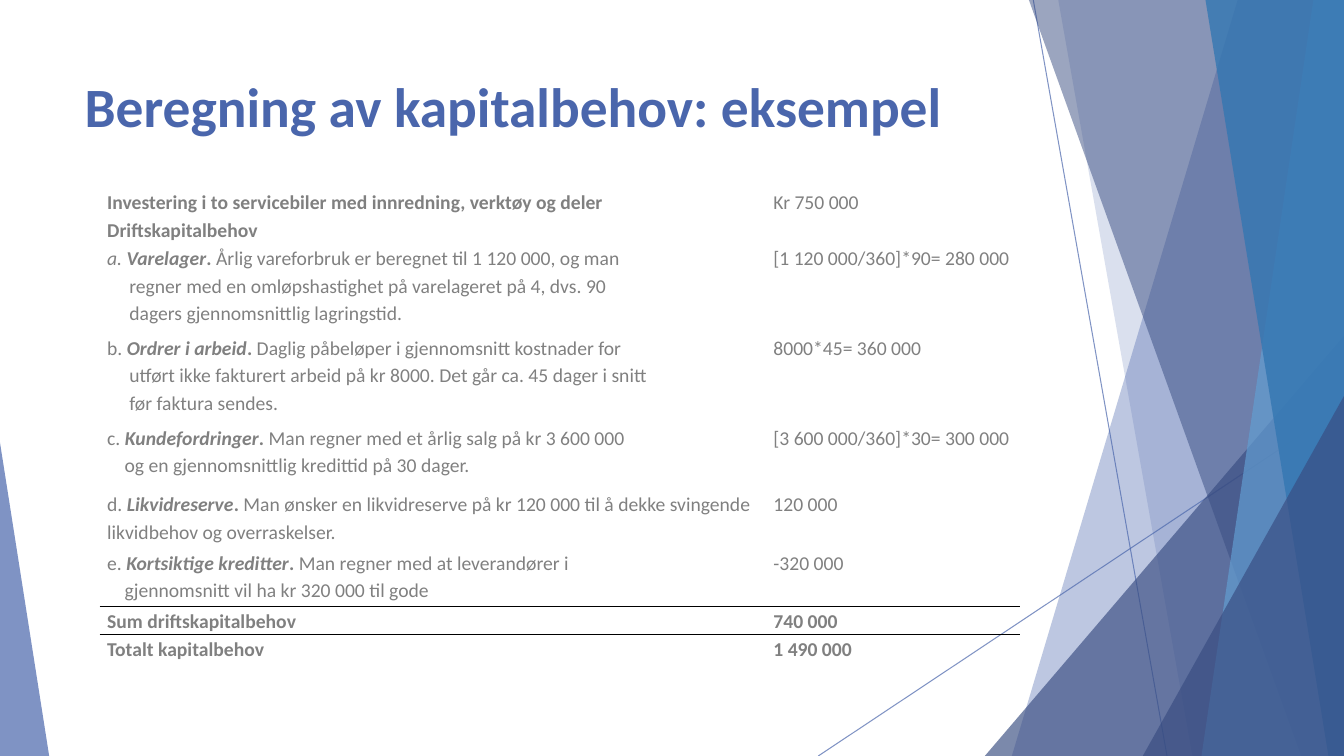
from lxml import etree
from pptx import Presentation
from pptx.dml.color import RGBColor
from pptx.enum.shapes import MSO_CONNECTOR, MSO_SHAPE
from pptx.enum.text import MSO_ANCHOR, PP_ALIGN
from pptx.oxml.ns import qn
from pptx.util import Cm, Pt

LINE = MSO_CONNECTOR.STRAIGHT
TRI = MSO_SHAPE.ISOSCELES_TRIANGLE
TOP = MSO_ANCHOR.TOP
LEFT = PP_ALIGN.LEFT

WIDE, HIGH = 33.87, 19.05
FONT = "Calibri"
PLAIN = "{2D5ABB26-0587-4C30-8999-92F81FD0307C}"
HUES = {
    "blue": "4A66AC",
    "navy": "384C81",
    "sky": "629DD1",
    "sea": "3477B2",
    "grey": "808080",
    "black": "000000",
}


def item(mark, name, first, rest=(), slant=""):
    head = [(mark, slant), (name, "bi"), (".", "b"), (first, "")]
    return [head] + [[(line, "")] for line in rest]


def bold(text):
    return [[(text, "b")]]


def flat(text):
    return [[(text, "")]]


ROWS = [
    (0.71, 0, bold("Investering i to servicebiler med innredning, verktøy og deler"),
     flat("Kr 750 000")),
    (0.71, 0, bold("Driftskapitalbehov"), []),
    (2.26, 0.56, item("a. ", "Varelager", " Årlig vareforbruk er beregnet til 1 120 000, og man",
                      ["regner med en omløpshastighet på varelageret på 4, dvs. 90",
                       "dagers gjennomsnittlig lagringstid."], "i"),
     flat("[1 120 000/360]*90= 280 000")),
    (2.26, 0.56, item("b. ", "Ordrer i arbeid", " Daglig påbeløper i gjennomsnitt kostnader for",
                      ["utført ikke fakturert arbeid på kr 8000. Det går ca. 45 dager i snitt",
                       "før faktura sendes."]),
     flat("8000*45= 360 000")),
    (1.68, 0.44, item("c. ", "Kundefordringer", " Man regner med et årlig salg på kr 3 600 000",
                      ["og en gjennomsnittlig kredittid på 30 dager."]),
     flat("[3 600 000/360]*30= 300 000")),
    (1.47, 0, item("d. ", "Likvidreserve", " Man ønsker en likvidreserve på kr 120 000 til å dekke "
                   "svingende likvidbehov og overraskelser."),
     flat("120 000")),
    (1.47, 0.44, item("e. ", "Kortsiktige kreditter", " Man regner med at leverandører i",
                      ["gjennomsnitt vil ha kr 320 000 til gode"]),
     flat("-320 000")),
    (0.71, 0, bold("Sum driftskapitalbehov"), bold("740 000")),
    (0.71, 0, bold("Totalt kapitalbehov"), bold("1 490 000")),
]
RULED = {6: ["lnB"], 7: ["lnT", "lnB"], 8: ["lnT"]}


def color(name):
    return RGBColor.from_string(HUES[name])


def fade(shape, alpha):
    for tint in shape._element.spPr.iter(qn("a:srgbClr")):
        etree.SubElement(tint, qn("a:alpha")).set("val", str(alpha * 1000))


def paint(shape, hue, alpha):
    shape.shadow.inherit = False
    shape.fill.solid()
    shape.fill.fore_color.rgb = color(hue)
    shape.line.fill.background()
    fade(shape, alpha)


def thread(slide, x1, y1, x2, y2):
    line = slide.shapes.add_connector(LINE, Cm(x1), Cm(y1), Cm(x2), Cm(y2))
    line.line.color.rgb = color("blue")
    line.line.width = Pt(0.75)
    fade(line, 70)
    etree.SubElement(line._element.spPr, qn("a:effectLst"))


def facet(slide, box, top, foot, hue, alpha):
    x, y, w, h = box
    pen = slide.shapes.build_freeform(Cm(x + top), Cm(y), scale=1.0)
    ends = [(x + w, y), (x + w, y + h), (x + foot, y + h)]
    pen.add_line_segments([(Cm(a), Cm(b)) for a, b in ends], close=True)
    paint(pen.convert_to_shape(), hue, alpha)


def wedge(slide, box, peak, hue, alpha):
    shape = slide.shapes.add_shape(TRI, *map(Cm, box))
    shape.adjustments[0] = peak
    paint(shape, hue, alpha)


def corner(slide, box, left, top):
    x, y, w, h = box
    wedge(slide, (x + left, y + top, w - left, h - top), 1.0, "navy", 66)


def decor(slide, box):
    x, y, w, h = box
    thread(slide, x + 26.04, y, x + 29.41, y + h)
    thread(slide, x + w, y + 10.24, x + 20.62, y + h)
    facet(slide, box, 31.19, 25.5, "blue", 36)
    facet(slide, box, 26.67, 30.05, "blue", 20)
    corner(slide, box, 24.82, 8.46)
    facet(slide, box, 25.93, 32.79, "navy", 50)
    facet(slide, box, 33.1, 30.28, "sky", 70)
    facet(slide, box, 30.38, 33.48, "sea", 80)
    corner(slide, box, 28.8, 9.98)
    wedge(slide, (x, y + 11.15, 1.24, h - 11.15), 0.0, "blue", 70)


def write(para, text, size, hue, style):
    run = para.add_run()
    run.text = text
    run.font.name = FONT
    run.font.size = Pt(size)
    run.font.color.rgb = color(hue)
    run.font.bold = "b" in style
    run.font.italic = "i" in style


def title(slide, box):
    head = slide.shapes.title
    head.left, head.top, head.width, head.height = map(Cm, box)
    frame = head.text_frame
    frame.word_wrap = True
    frame.vertical_anchor = TOP
    para = frame.paragraphs[0]
    para.alignment = LEFT
    write(para, "Beregning av kapitalbehov: eksempel", 39.6, "blue", "b")


def rule(cell, sides):
    props = cell._tc.get_or_add_tcPr()
    for spot, side in enumerate(sides):
        edge = etree.Element(qn("a:" + side), w=str(Pt(1)))
        fill = etree.SubElement(edge, qn("a:solidFill"))
        etree.SubElement(fill, qn("a:srgbClr"), val=HUES["black"])
        props.insert(spot, edge)


def fill_cell(cell, lines, indent):
    cell.fill.background()
    cell.vertical_anchor = TOP
    cell.margin_left = cell.margin_right = Cm(0.19)
    cell.margin_top = cell.margin_bottom = 0
    frame = cell.text_frame
    if not lines:
        blank = frame.paragraphs[0]._p
        etree.SubElement(blank, qn("a:endParaRPr"), sz="1400")
    for spot, runs in enumerate(lines):
        para = frame.add_paragraph() if spot else frame.paragraphs[0]
        para.line_spacing = 1.15
        if spot:
            para._p.get_or_add_pPr().set("marL", str(Cm(indent)))
        for text, style in runs:
            write(para, text, 14, "grey", style)


def costs(slide, box):
    frame = slide.shapes.add_table(len(ROWS), 2, *map(Cm, box))
    grid = frame.table
    grid.first_row = grid.horz_banding = False
    grid._tbl.tblPr.find(qn("a:tableStyleId")).text = PLAIN
    grid.columns[0].width = Cm(16.79)
    grid.columns[1].width = Cm(box[2] - 16.79)
    for spot, (tall, indent, label, value) in enumerate(ROWS):
        grid.rows[spot].height = Cm(tall)
        for col, lines in enumerate((label, value)):
            cell = grid.cell(spot, col)
            fill_cell(cell, lines, indent)
            rule(cell, RULED.get(spot, []))


def main():
    deck = Presentation()
    deck.slide_width, deck.slide_height = Cm(WIDE), Cm(HIGH)
    slide = deck.slides.add_slide(deck.slide_layouts[5])
    decor(slide, (0, 0, WIDE, HIGH))
    title(slide, (1.88, 1.7, 23.88, 3.66))
    costs(slide, (2.51, 4.72, 23.19, 11.98))
    deck.save("out.pptx")


if __name__ == "__main__":
    main()
